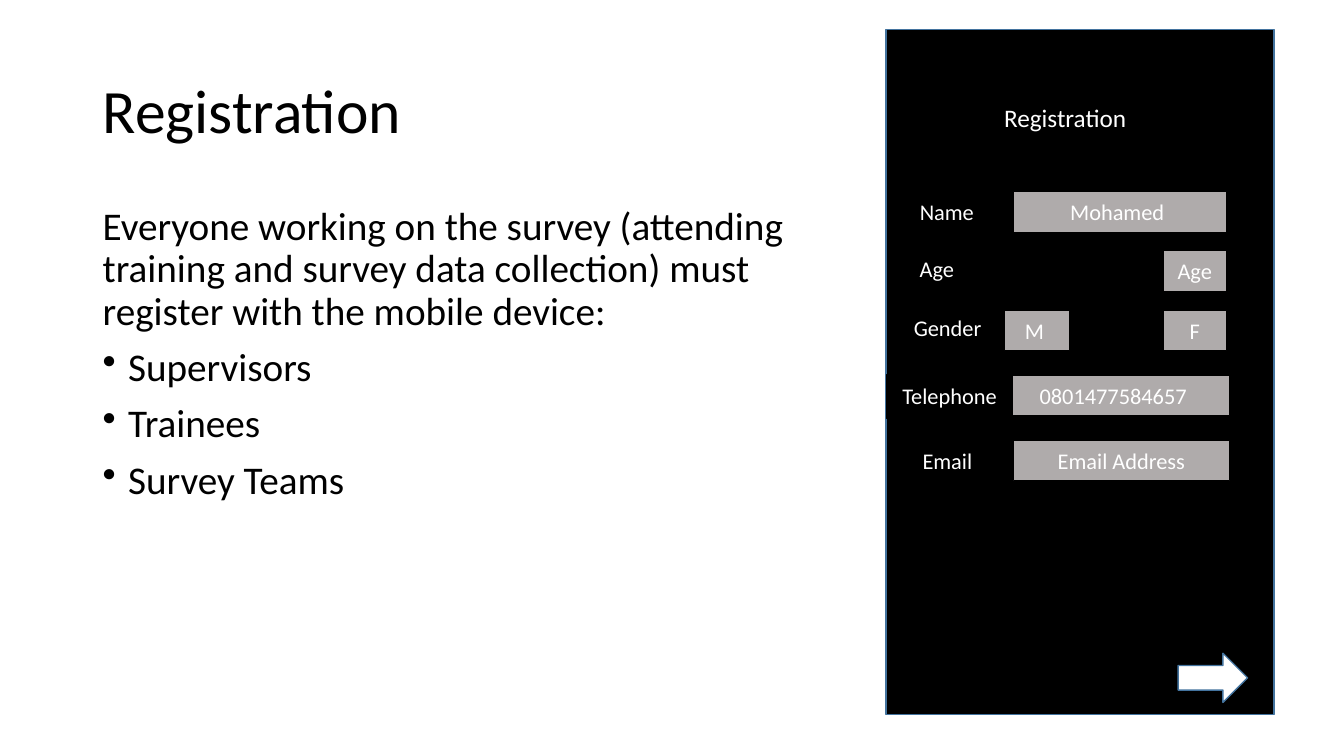
import pptx
import pptx.util
import pptx.dml.color
import pptx.enum.shapes
import pptx.enum.text
import pptx.oxml.ns
from lxml import etree

Cm = pptx.util.Cm
Pt = pptx.util.Pt
RGBColor = pptx.dml.color.RGBColor
SHAPE = pptx.enum.shapes.MSO_SHAPE
ANCHOR = pptx.enum.text.MSO_ANCHOR
ALIGN = pptx.enum.text.PP_ALIGN

BLACK = RGBColor(0x00, 0x00, 0x00)
WHITE = RGBColor(0xFF, 0xFF, 0xFF)
GREY = RGBColor(0xAF, 0xAB, 0xAB)
BLUE = RGBColor(0x43, 0x73, 0x9E)

LABEL_HEIGHT = 1.09
FIELD_HEIGHT = 1.02

FORM_ROWS = [
    (("Name ", 22.91, 4.83, 2.03), [("Mohamed ", 25.53, 4.83, 5.38)]),
    (("Age ", 22.66, 6.25, 2.03), [("Age", 29.31, 6.32, 1.6)]),
    (("Gender", 22.66, 7.75, 2.44),
     [("M ", 25.32, 7.82, 1.63), ("F", 29.31, 7.82, 1.6)]),
    (("Telephone", 22.33, 9.45, 3.2), [("0801477584657", 25.12, 9.45, 5.87)]),
    (("Email", 22.73, 11.1, 2.29), [("Email Address", 25.53, 11.1, 5.46)]),
]


def style_font(paragraph, size, color):
    paragraph.font.name = "Calibri"
    paragraph.font.size = Pt(size)
    paragraph.font.color.rgb = color


def add_bullet(paragraph):
    properties = paragraph._p.get_or_add_pPr()
    indent = Cm(0.64)
    properties.set("marL", str(indent))
    properties.set("indent", str(-indent))
    bullet = etree.SubElement(properties, pptx.oxml.ns.qn("a:buChar"))
    bullet.set("char", "•")


def add_text(slide, left, top, width, height, size, lines, anchor):
    frame = slide.shapes.add_textbox(
        Cm(left), Cm(top), Cm(width), Cm(height)).text_frame
    frame.word_wrap = True
    frame.vertical_anchor = anchor
    for index, line in enumerate(lines):
        paragraph = frame.add_paragraph() if index else frame.paragraphs[0]
        paragraph.text = line
        paragraph.line_spacing = 0.9
        if index:
            paragraph.space_before = Pt(10)
            add_bullet(paragraph)
        style_font(paragraph, size, BLACK)


def add_block(slide, kind, left, top, width, height, fill, outline, weight):
    block = slide.shapes.add_shape(kind, Cm(left), Cm(top), Cm(width), Cm(height))
    block.shadow.inherit = False
    block.fill.solid()
    block.fill.fore_color.rgb = fill
    block.line.color.rgb = outline
    block.line.width = Pt(weight)
    return block


def add_caption(slide, text, left, top, width, height, fill, size=16):
    block = add_block(slide, SHAPE.RECTANGLE, left, top, width, height,
                      fill, BLACK, 0.75)
    frame = block.text_frame
    frame.word_wrap = True
    frame.vertical_anchor = ANCHOR.TOP
    paragraph = frame.paragraphs[0]
    paragraph.text = text
    paragraph.alignment = ALIGN.CENTER
    paragraph.line_spacing = 1.07
    paragraph.space_after = Pt(8)
    style_font(paragraph, size, WHITE)


def add_form(slide):
    add_block(slide, SHAPE.RECTANGLE, 22.33, 0.74, 9.78, 17.27, BLACK, BLUE, 1)
    add_caption(slide, "Registration ", 23.42, 2.41, 6.99, 1.27, BLACK, 18)
    for label, fields in FORM_ROWS:
        for field in fields:
            add_caption(slide, *field, FIELD_HEIGHT, GREY)
        add_caption(slide, *label, LABEL_HEIGHT, BLACK)
    add_block(slide, SHAPE.RIGHT_ARROW, 29.69, 16.46, 1.75, 1.24, WHITE, BLUE, 1)


def main():
    presentation = pptx.Presentation()
    presentation.slide_width = Cm(33.87)
    presentation.slide_height = Cm(19.05)
    slide = presentation.slides.add_slide(presentation.slide_layouts[6])
    add_text(slide, 2.34, 1.02, 29.21, 3.68, 44, ["Registration"], ANCHOR.MIDDLE)
    add_text(slide, 2.34, 5.08, 19.71, 12.09, 28, [
        "Everyone working on the survey (attending training and survey data "
        "collection) must register with the mobile device:",
        "Supervisors",
        "Trainees",
        "Survey Teams",
    ], ANCHOR.TOP)
    add_form(slide)
    presentation.save("out.pptx")


if __name__ == "__main__":
    main()
